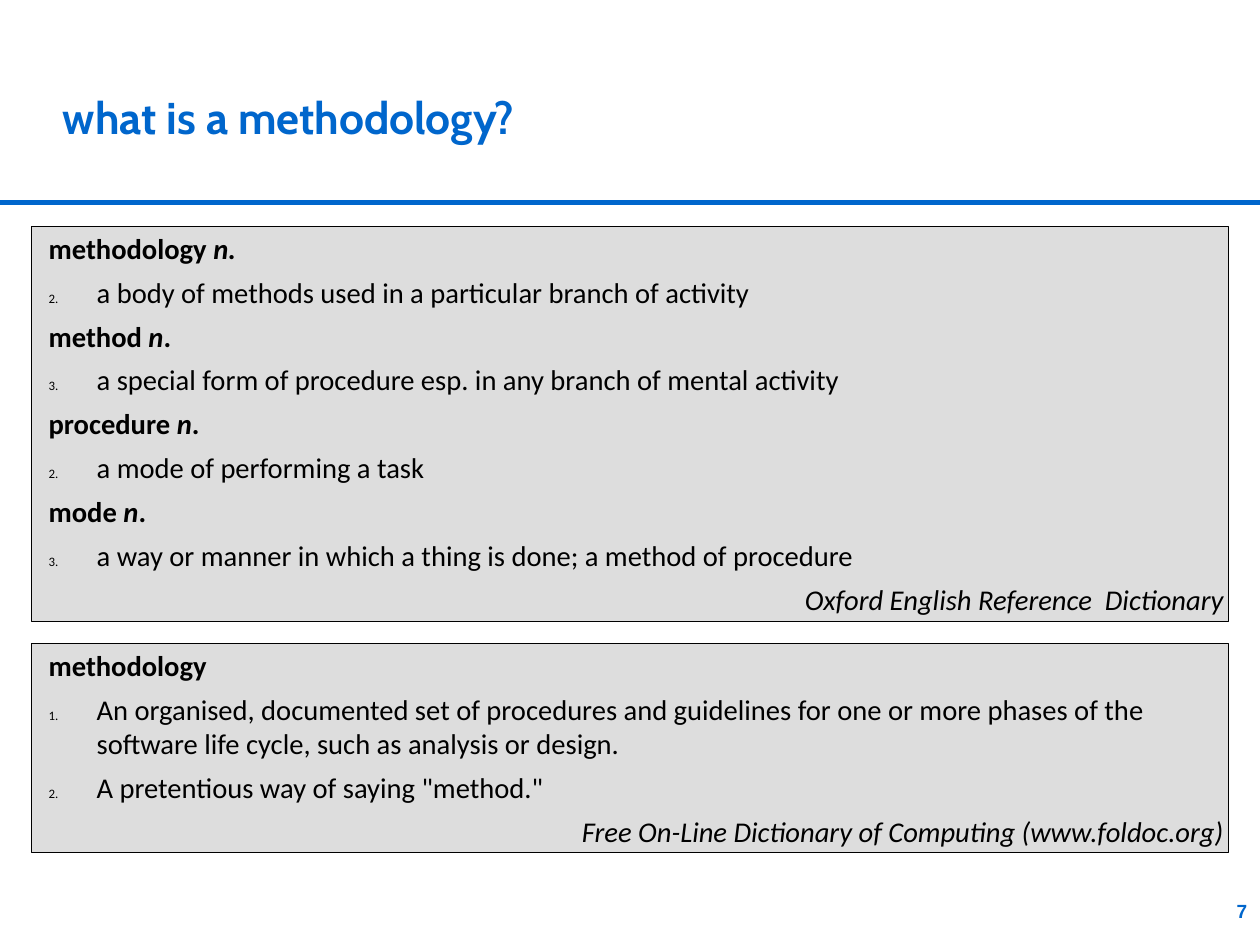
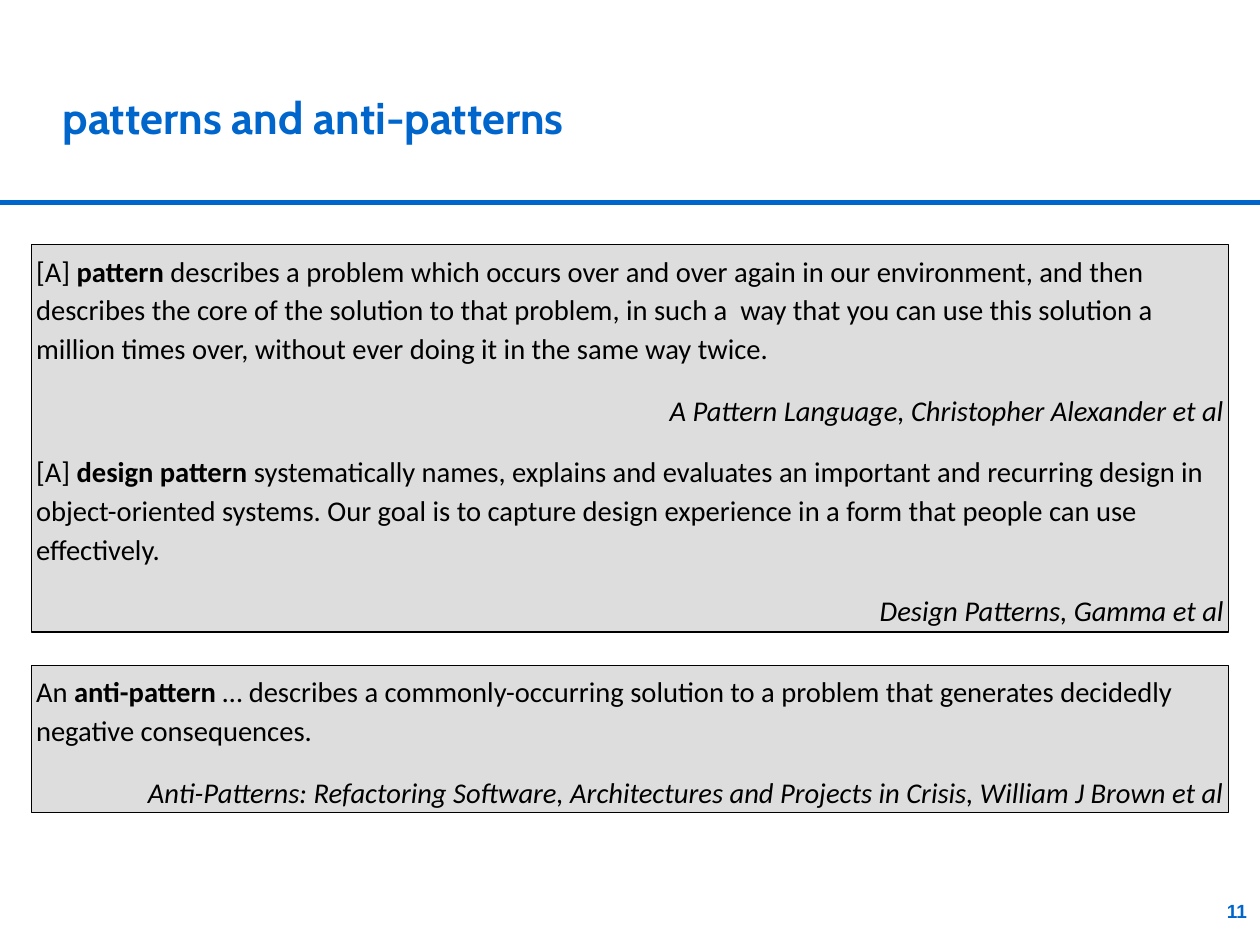
from dataclasses import dataclass

from lxml import etree
from pptx import Presentation
from pptx import util as u
from pptx.dml.color import RGBColor
from pptx.enum import shapes, text
from pptx.oxml import ns

BLUE = RGBColor(0x00, 0x66, 0xCC)
GREY = RGBColor(0xDD, 0xDD, 0xDD)
BLACK = RGBColor(0, 0, 0)

SLIDE_WIDTH, SLIDE_HEIGHT = u.Cm(28), u.Cm(21)
WIDTH = SLIDE_WIDTH.inches
PANEL_LEFT, PANEL_WIDTH = WIDTH * 0.025, WIDTH * 0.95
RULE_Y = 1.77

TITLE_FONT = dict(name="Cabin", size=u.Pt(28), bold=True)
BODY_FONT = dict(name="Calibri", size=u.Pt(18))
NUMBER_FONT = dict(name="Arial", size=u.Pt(12), bold=True)


@dataclass(frozen=True)
class Run:
    text: str
    bold: bool = False
    italic: bool = False


@dataclass(frozen=True)
class Para:
    runs: tuple[Run, ...]
    right: bool = False
    numbered: bool = False
    start: int | None = None


@dataclass(frozen=True)
class Spacing:
    before: float
    after: float
    line: float
    hanging: bool


@dataclass(frozen=True)
class Panel:
    top: float
    height: float
    paras: tuple[Para, ...]


@dataclass(frozen=True)
class Page:
    title: str
    number: int
    spacing: Spacing
    body: Panel
    extra: Panel


DEFINITIONS = Spacing(before=3, after=3, line=1.0, hanging=True)
QUOTES = Spacing(before=0, after=14.3, line=1.13, hanging=False)


def noun(word: str) -> Para:
    return Para((Run(word + " ", bold=True), Run("n", bold=True, italic=True),
                 Run(".", bold=True)))


def meaning(wording: str, start: int | None = None) -> Para:
    """A numbered paragraph; without a start it counts on."""
    return Para((Run(wording),), numbered=True, start=start)


def quote(lead: str, term: str, rest: str) -> Para:
    return Para((Run(lead), Run(term, bold=True), Run(rest)))


def source(wording: str) -> Para:
    return Para((Run(wording, italic=True),), right=True)


PAGES = (
    Page("what is a methodology?", 7, DEFINITIONS,
         Panel(1.98, 3.46, (
             Para((Run("methodology ", bold=True), Run("n.", bold=True, italic=True))),
             meaning("a body of methods used in a particular branch of activity", 2),
             noun("method"),
             meaning("a special form of procedure esp. in any branch of mental activity"),
             noun("procedure"),
             meaning("a mode of performing a task", 2),
             noun("mode"),
             meaning("a way or manner in which a thing is done; a method of procedure"),
             source("Oxford English Reference  Dictionary"))),
         Panel(5.63, 1.83, (
             Para((Run("methodology", bold=True),)),
             meaning("An organised, documented set of procedures and guidelines for one "
                     "or more phases of the software life cycle, such as analysis or design."),
             meaning('A pretentious way of saying "method."'),
             source("Free On-Line Dictionary of Computing (www.foldoc.org)")))),
    Page("patterns and anti-patterns", 11, QUOTES,
         Panel(2.14, 3.39, (
             quote("[A] ", "pattern",
                   " describes a problem which occurs over and over again in our environment, "
                   "and then describes the core of the solution to that problem, in such a  way "
                   "that you can use this solution a million times over, without ever doing it "
                   "in the same way twice."),
             source("A Pattern Language, Christopher Alexander et al"),
             quote("[A] ", "design pattern",
                   " systematically names, explains and evaluates an important and recurring "
                   "design in object-oriented systems. Our goal is to capture design experience "
                   "in a form that people can use effectively."),
             source("Design Patterns, Gamma et al"))),
         Panel(5.82, 1.29, (
             quote("An ", "anti-pattern",
                   " … describes a commonly-occurring solution to a problem that generates "
                   "decidedly negative consequences."),
             source("Anti-Patterns: Refactoring Software, Architectures and Projects in "
                    "Crisis, William J Brown et al")))),
)


def set_all(obj, values: dict) -> None:
    for key, value in values.items():
        setattr(obj, key, value)


def place(sp, left: float, top: float, width: float, height: float) -> None:
    set_all(sp, dict(left=u.Inches(left), top=u.Inches(top),
                     width=u.Inches(width), height=u.Inches(height)))


def set_frame(tf, inset: float, **values) -> None:
    sides = ("margin_left", "margin_top", "margin_right", "margin_bottom")
    set_all(tf, dict.fromkeys(sides, u.Inches(inset)) | dict(word_wrap=True) | values)


def add_run(p, wording: str, font: dict, color: RGBColor) -> None:
    r = p.add_run()
    r.text = wording
    set_all(r.font, font)
    r.font.color.rgb = color


def set_bullet(p, para: Para, hanging: bool) -> None:
    """Number the paragraph, or take away the bullet it inherits."""
    pPr = p._p.get_or_add_pPr()
    pPr.set("marL", str(u.Inches(0.53 if hanging else 0)))
    pPr.set("indent", str(u.Inches(-0.42 if hanging else 0)))
    if not para.numbered:
        etree.SubElement(pPr, ns.qn("a:buNone"))
        return
    clr = etree.SubElement(pPr, ns.qn("a:buClr"))
    etree.SubElement(clr, ns.qn("a:srgbClr"), val=str(BLACK))
    etree.SubElement(pPr, ns.qn("a:buSzPct"), val="45000")
    auto = etree.SubElement(pPr, ns.qn("a:buAutoNum"), type="arabicPeriod")
    if para.start:
        auto.set("startAt", str(para.start))


def fill_panel(sp, panel: Panel, spacing: Spacing, fit: text.MSO_AUTO_SIZE) -> None:
    place(sp, PANEL_LEFT, panel.top, PANEL_WIDTH, panel.height)
    sp.fill.solid()
    sp.fill.fore_color.rgb = GREY
    sp.line.color.rgb = BLACK
    sp.line.width = u.Pt(0.75)
    tf = sp.text_frame
    set_frame(tf, 0.04, vertical_anchor=text.MSO_ANCHOR.TOP, auto_size=fit)
    for i, para in enumerate(panel.paras):
        p = tf.add_paragraph() if i else tf.paragraphs[0]
        set_bullet(p, para, spacing.hanging)
        set_all(p, dict(
            alignment=text.PP_ALIGN.RIGHT if para.right else text.PP_ALIGN.LEFT,
            space_before=u.Pt(spacing.before if i else 0),
            space_after=u.Pt(spacing.after),
            line_spacing=spacing.line))
        for run in para.runs:
            add_run(p, run.text, BODY_FONT | dict(bold=run.bold, italic=run.italic), BLACK)


def add_rule(slide, layout) -> None:
    """Draw the line below the title and hand it to the layout."""
    line = slide.shapes.add_connector(
        shapes.MSO_CONNECTOR.STRAIGHT, 0, u.Inches(RULE_Y), SLIDE_WIDTH, u.Inches(RULE_Y))
    line.line.color.rgb = BLUE
    line.line.width = u.Pt(2.83)
    etree.SubElement(line.element.spPr, ns.qn("a:effectLst"))
    layout.element.cSld.spTree.append(line.element)


def add_page(prs, layout, page: Page):
    slide = prs.slides.add_slide(layout)
    title, body = slide.shapes.title, slide.placeholders[1]
    set_frame(title.text_frame, 0, vertical_anchor=text.MSO_ANCHOR.MIDDLE,
              auto_size=text.MSO_AUTO_SIZE.NONE)
    p = title.text_frame.paragraphs[0]
    set_all(p, dict(alignment=text.PP_ALIGN.LEFT, line_spacing=1.01))
    add_run(p, page.title, TITLE_FONT, BLUE)

    fill_panel(body, page.body, page.spacing, text.MSO_AUTO_SIZE.NONE)
    extra = slide.shapes.add_shape(shapes.MSO_SHAPE.RECTANGLE, 0, 0, 0, 0)
    extra.shadow.inherit = False
    fill_panel(extra, page.extra, page.spacing, text.MSO_AUTO_SIZE.SHAPE_TO_FIT_TEXT)

    number = slide.shapes.add_textbox(0, 0, 0, 0)
    place(number, 9.69, 7.87, 1.22, 0.27)
    set_frame(number.text_frame, 0)
    p = number.text_frame.paragraphs[0]
    p.alignment = text.PP_ALIGN.RIGHT
    add_run(p, str(page.number), NUMBER_FONT, BLUE)
    return slide


def main() -> None:
    prs = Presentation()
    set_all(prs, dict(slide_width=SLIDE_WIDTH, slide_height=SLIDE_HEIGHT))
    layout = prs.slide_layouts.get_by_name("Title and Content")
    place(layout.placeholders[0], 0.55, 0.33, WIDTH * 0.9, 1.37)
    slides = [add_page(prs, layout, page) for page in PAGES]
    add_rule(slides[0], layout)
    prs.save("out.pptx")


if __name__ == "__main__":
    main()
